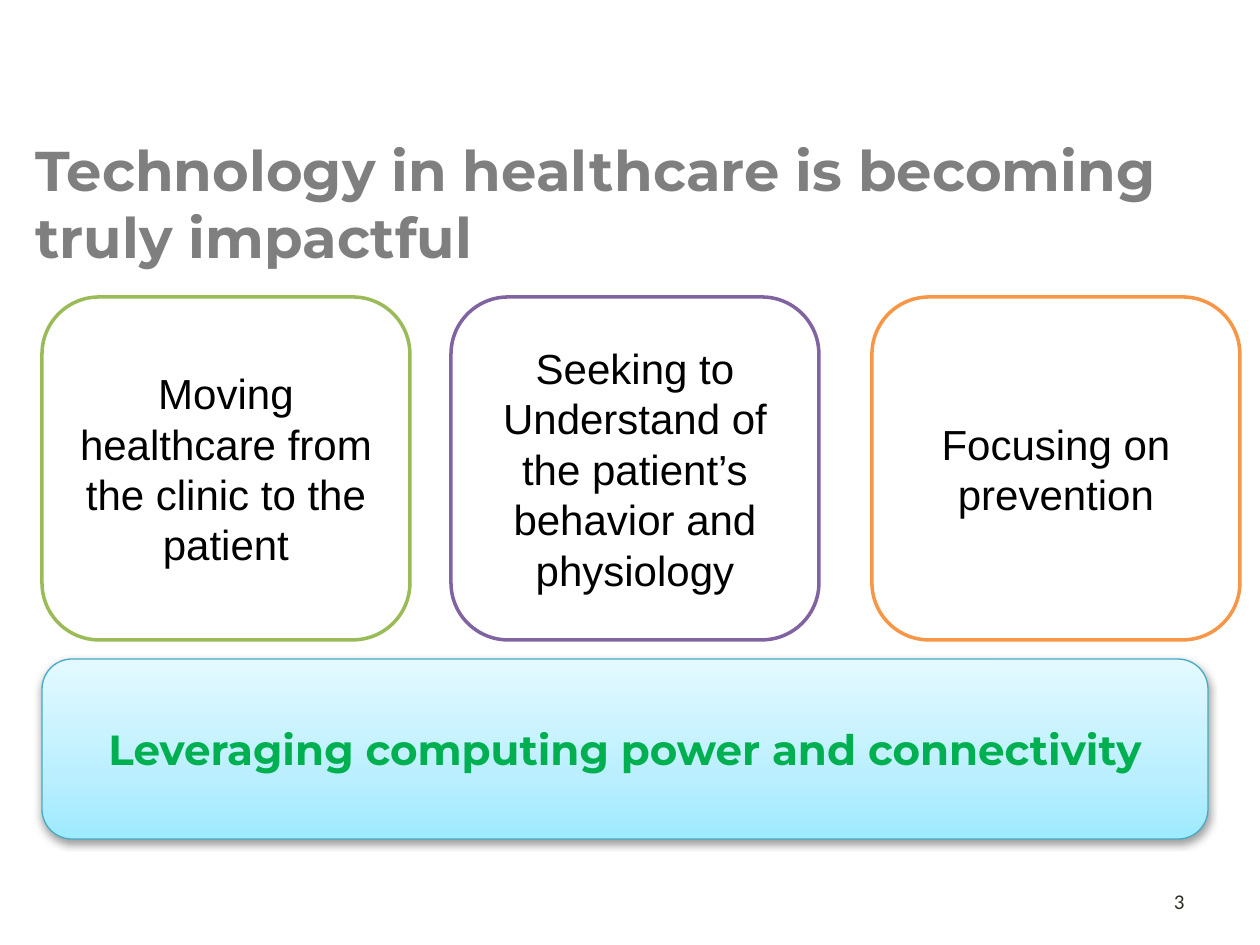
import copy

import pptx
import pptx.dml.color
import pptx.enum.shapes
import pptx.enum.text
import pptx.oxml
import pptx.oxml.ns
import pptx.util
from lxml import etree

RGBColor = pptx.dml.color.RGBColor
SHAPE = pptx.enum.shapes.MSO_SHAPE
ALIGN = pptx.enum.text.PP_ALIGN
ANCHOR = pptx.enum.text.MSO_ANCHOR
qn = pptx.oxml.ns.qn

WHITE = RGBColor(0xFF, 0xFF, 0xFF)
BLACK = RGBColor(0x00, 0x00, 0x00)
GREY = RGBColor(0x7F, 0x7F, 0x7F)
GREEN = RGBColor(0x00, 0xB0, 0x50)
INK = RGBColor(0x2F, 0x2B, 0x20)
LIME = RGBColor(0x9B, 0xBB, 0x59)
PURPLE = RGBColor(0x80, 0x64, 0xA2)
ORANGE = RGBColor(0xF7, 0x96, 0x46)
TEAL = RGBColor(0x46, 0xAA, 0xC5)
BAND_STOPS = [
    (0, RGBColor(0x9E, 0xEA, 0xFF)),
    (0.35, RGBColor(0xBB, 0xEF, 0xFF)),
    (1, RGBColor(0xE4, 0xF9, 0xFF)),
]

PX_PER_INCH = 126
PILLAR_WIDTH = 368
PILLARS = [  # left edge, outline, wording
    (42, LIME, "Moving healthcare from the clinic to the patient"),
    (451, PURPLE, "Seeking to Understand of the patient’s behavior and physiology"),
    (872, ORANGE, "Focusing on prevention"),
]


def px(length):
    return pptx.util.Emu(round(length * 914400 / PX_PER_INCH))


def write(shape, text, font_name, size, color, align, anchor, bold=False):
    frame = shape.text_frame
    frame.word_wrap = True
    frame.vertical_anchor = anchor
    paragraph = frame.paragraphs[0]
    paragraph.text = text
    paragraph.alignment = align
    font = paragraph.font
    font.name, font.size, font.bold = font_name, pptx.util.Pt(size), bold
    font.color.rgb = color


def add_panel(slide, box, kind, fill=WHITE, outline=None, weight=0):
    panel = slide.shapes.add_shape(kind, *map(px, box))
    panel.shadow.inherit = False
    if fill is not None:
        panel.fill.solid()
        panel.fill.fore_color.rgb = fill
    if outline is None:
        panel.line.fill.background()
    else:
        panel.line.color.rgb = outline
        panel.line.width = pptx.util.Pt(weight)
    return panel


def add_title(slide, box):
    title = add_panel(slide, box, SHAPE.RECTANGLE)
    write(title, "Technology in healthcare is becoming truly impactful",
          "Montserrat", 32, GREY, ALIGN.LEFT, ANCHOR.TOP, bold=True)


def add_band(slide, box):
    band = add_panel(slide, box, SHAPE.ROUNDED_RECTANGLE, None, TEAL, 0.75)
    # Three-stop gradient, darkest at the bottom
    band.fill.gradient()
    band.fill.gradient_angle = 90
    properties = band._element.spPr
    stop_list = properties.find(qn("a:gradFill")).find(qn("a:gsLst"))
    stop_list.insert(1, copy.deepcopy(stop_list[0]))
    for stop, (position, color) in zip(band.fill.gradient_stops, BAND_STOPS):
        stop.position = position
        stop.color.rgb = color
    # Soft shadow below
    shadow = etree.SubElement(
        properties.find(qn("a:effectLst")), qn("a:outerShdw"),
        blurRad=str(pptx.util.Pt(5)), dist=str(pptx.util.Pt(1.6)),
        dir="5400000", rotWithShape="0")
    shade = etree.SubElement(shadow, qn("a:srgbClr"), val=str(BLACK))
    etree.SubElement(shade, qn("a:alpha"), val="38000")
    write(band, "Leveraging computing power and connectivity",
          "Montserrat", 24, GREEN, ALIGN.CENTER, ANCHOR.MIDDLE, bold=True)


def add_pillars(slide, top, height):
    for left, outline, text in PILLARS:
        pillar = add_panel(slide, (left, top, PILLAR_WIDTH, height),
                           SHAPE.ROUNDED_RECTANGLE, WHITE, outline, 2)
        write(pillar, text, "Arial", 24, BLACK, ALIGN.CENTER, ANCHOR.MIDDLE)


def add_page_number(slide, box):
    page_number = slide.shapes.add_textbox(*map(px, box))
    write(page_number, "3", "Calibri", 12, INK, ALIGN.RIGHT, ANCHOR.MIDDLE)


def main():
    deck = pptx.Presentation()
    deck.slide_width, deck.slide_height = px(1260), px(945)
    slide = deck.slides.add_slide(deck.slide_layouts[6])
    add_title(slide, (23, 129, 1207, 149))
    add_band(slide, (42, 659, 1166, 180))
    add_pillars(slide, 297, 343)
    add_page_number(slide, (903, 876, 294, 50))
    deck.save("out.pptx")


if __name__ == "__main__":
    main()
